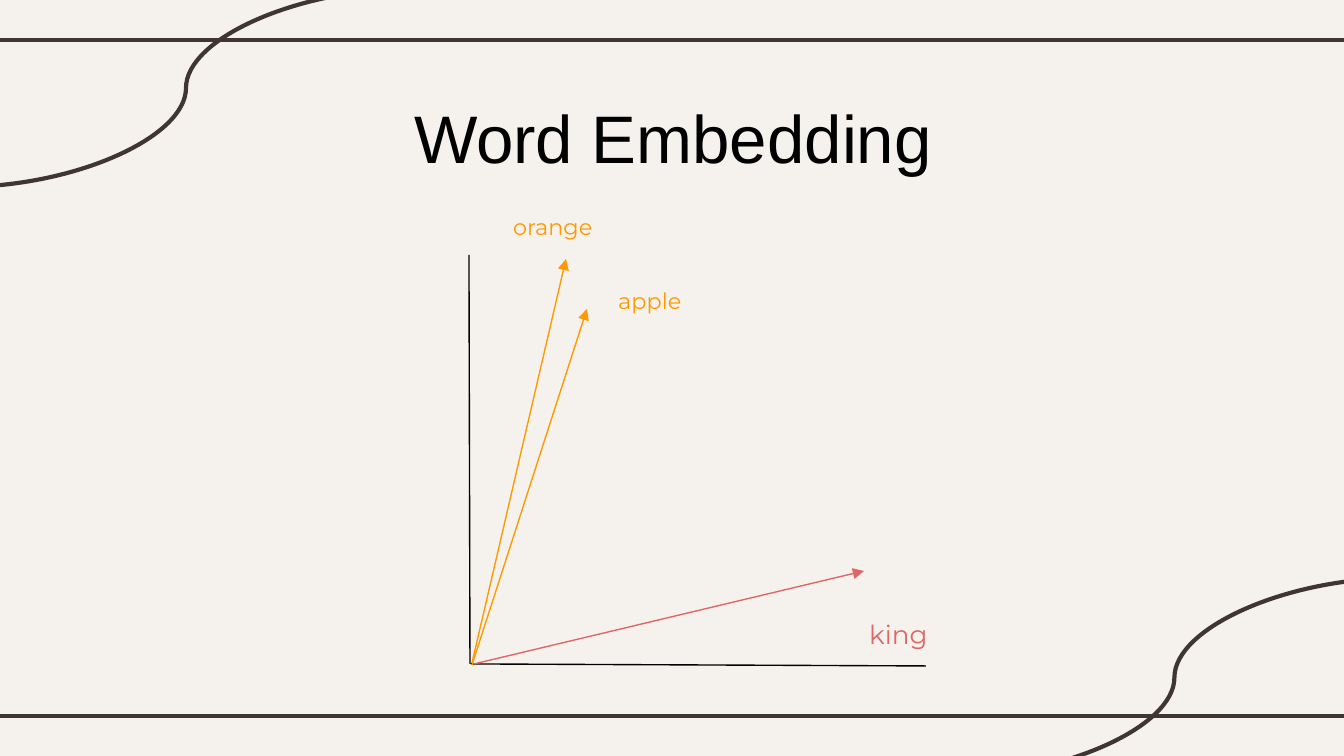
from lxml.etree import SubElement
from pptx import Presentation
from pptx.dml.color import RGBColor
from pptx.enum.shapes import MSO_CONNECTOR as CONN
from pptx.enum.text import MSO_ANCHOR as ANCHOR, PP_ALIGN as ALIGN
from pptx.oxml.ns import qn
from pptx.util import Inches, Pt

PX = 914400 / 134.4
W, H = 1344, 756
CREAM = RGBColor(0xF5, 0xF2, 0xEE)
BROWN = RGBColor(0x3F, 0x35, 0x33)
BLACK = RGBColor(0, 0, 0)
ORANGE = RGBColor(0xFF, 0x99, 0x00)
RED = RGBColor(0xE0, 0x66, 0x66)

RULES_Y = [40, 716]
CURVES = [(410, -11, -38, 187), (1399, 578, 950, 777)]
TITLE = ("Word Embedding", (300, 82, 746, 108))
AXES = [(469, 255, 470, 664), (471, 664, 926, 666)]
WORDS = [
    ("orange", ORANGE, 12, (472, 663, 566, 259), (500, 200, 130, 54)),
    ("apple", ORANGE, 12, (472, 665, 587, 309), (605, 274, 130, 54)),
    ("king", RED, 14, (474, 664, 864, 571), (856, 605, 87, 59)),
]


def px(*values):
    return [round(v * PX) for v in values]


def add_line(ends, color, width, kind=CONN.STRAIGHT, arrow=False):
    s = slide.shapes.add_connector(kind, *px(*ends))
    s.line.color.rgb = color
    s.line.width = Pt(width)
    if arrow:
        SubElement(s.line._get_or_add_ln(), qn("a:tailEnd"), type="triangle")
    SubElement(s._element.spPr, qn("a:effectLst"))


def add_text(text, box, font, size, color, align=ALIGN.LEFT, anchor=ANCHOR.TOP):
    tf = slide.shapes.add_textbox(*px(*box)).text_frame
    tf.word_wrap = True
    tf.vertical_anchor = anchor
    tf.margin_left = tf.margin_right = Inches(0.1)
    tf.margin_top = tf.margin_bottom = Inches(0.1)
    p = tf.paragraphs[0]
    p.alignment = align
    r = p.add_run()
    r.text = text
    r.font.name = font
    r.font.size = Pt(size)
    r.font.color.rgb = color


prs = Presentation()
prs.slide_width, prs.slide_height = px(W, H)
slide = prs.slides.add_slide(prs.slide_layouts[6])
slide.background.fill.solid()
slide.background.fill.fore_color.rgb = CREAM

for y, curve in zip(RULES_Y, CURVES):
    add_line((-11, y, W + 11, y), BROWN, 2.25)
    add_line(curve, BROWN, 2.25, CONN.CURVE)

add_text(*TITLE, "Arial", 36, BLACK, ALIGN.CENTER, ANCHOR.BOTTOM)

for axis in AXES:
    add_line(axis, BLACK, 0.75)
for word, color, size, vector, box in WORDS:
    add_line(vector, color, 0.75, arrow=True)
    add_text(word, box, "Montserrat", size, color)

prs.save("out.pptx")
